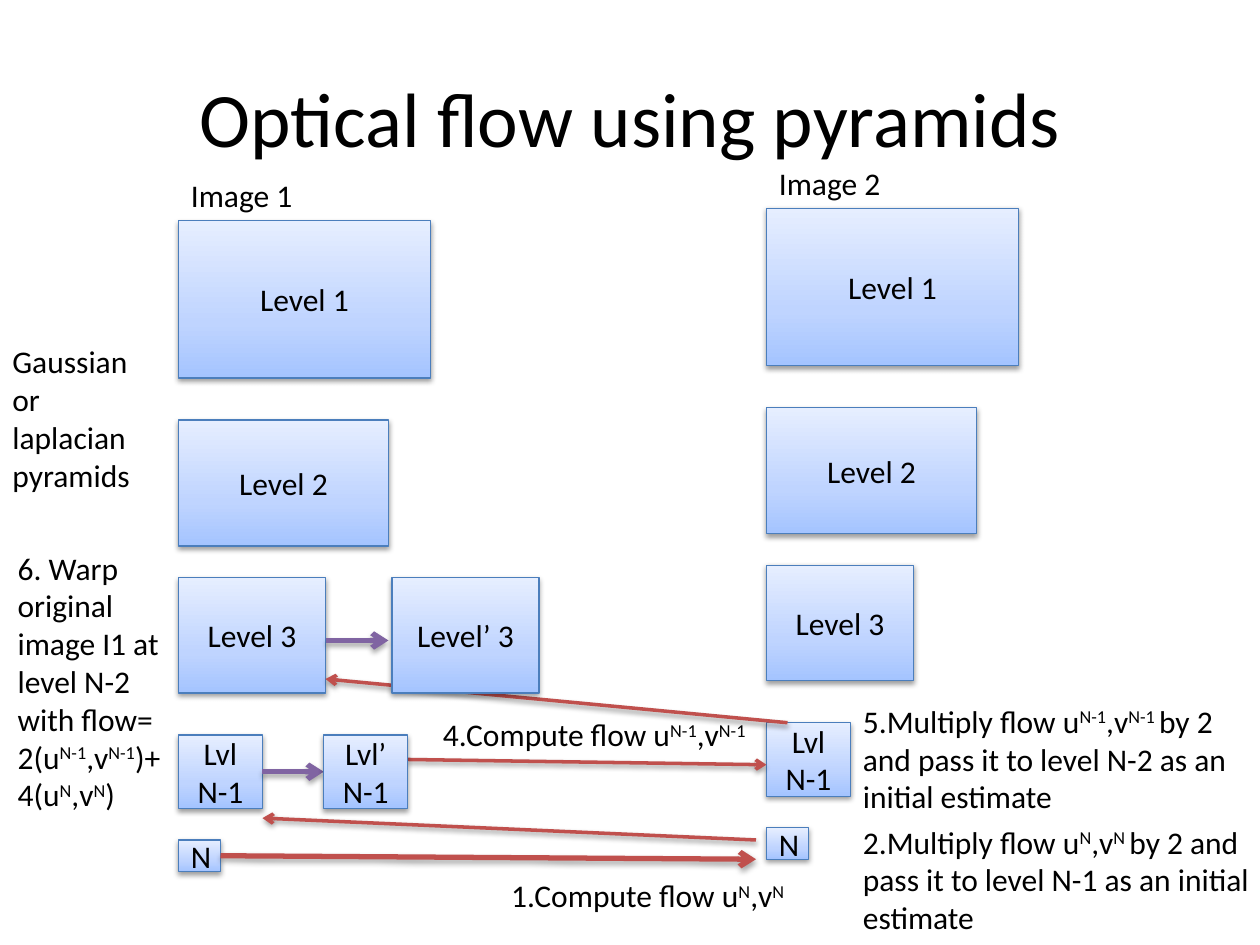
"""Build a slide on optical flow with image pyramids."""
import copy

import pptx
import pptx.dml.color
import pptx.enum.shapes
import pptx.enum.text
import pptx.oxml
import pptx.oxml.ns
import pptx.util

Pt = pptx.util.Pt
ALIGN = pptx.enum.text.PP_ALIGN
ANCHOR = pptx.enum.text.MSO_ANCHOR
RED, PURPLE = "C0504D", "8064A2"


def rgb(color):
    return pptx.dml.color.RGBColor.from_string(color)


class Deck:
    font, size, ink, edge = "Calibri", 18, "000000", "4B7EBC"
    stops = [(0, "A4C4FF"), (0.35, "BFD4FF"), (1, "E6EEFF")]

    def __init__(self, s):
        self.s = s

    def add_runs(self, p, text, size=None):
        for i, part in enumerate(text.split("^")):
            if not part:
                continue
            r = p.add_run()
            r.text = part
            r.font.name = self.font
            r.font.size = Pt(size or self.size)
            r.font.color.rgb = rgb(self.ink)
            if i % 2:
                r._r.get_or_add_rPr().set("baseline", "30000")

    def shadow(self, sp, alpha=38, dist=1.6):
        sp._element.spPr.append(pptx.oxml.parse_xml(
            f'<a:effectLst {pptx.oxml.ns.nsdecls("a")}>'
            f'<a:outerShdw blurRad="{Pt(3.1)}" dist="{Pt(dist)}" dir="5400000" rotWithShape="0">'
            f'<a:srgbClr val="000000"><a:alpha val="{alpha * 1000}"/></a:srgbClr>'
            '</a:outerShdw></a:effectLst>'))

    def title(self, text, x, y, w, h):
        sp = self.s.shapes.title
        sp.left, sp.top, sp.width, sp.height = Pt(x), Pt(y), Pt(w), Pt(h)
        tf = sp.text_frame
        tf.vertical_anchor = ANCHOR.MIDDLE
        p = tf.paragraphs[0]
        p.alignment = ALIGN.CENTER
        self.add_runs(p, text, 44)

    def box(self, text, x, y, w, h):
        kind = pptx.enum.shapes.MSO_SHAPE.RECTANGLE
        sp = self.s.shapes.add_shape(kind, Pt(x), Pt(y), Pt(w), Pt(h))
        sp.fill.gradient()
        sp.fill.gradient_angle = 90
        first = sp._element.spPr.find(".//" + pptx.oxml.ns.qn("a:gs"))
        first.addnext(copy.deepcopy(first))
        for stop, (position, color) in zip(sp.fill.gradient_stops, self.stops):
            stop.position = position
            stop.color.rgb = rgb(color)
        sp.line.color.rgb = rgb(self.edge)
        sp.line.width = Pt(0.75)
        self.shadow(sp)
        tf = sp.text_frame
        tf.word_wrap = True
        tf.vertical_anchor = ANCHOR.MIDDLE
        p = tf.paragraphs[0]
        p.alignment = ALIGN.CENTER
        self.add_runs(p, text)

    def text(self, paragraphs, x, y, w, h):
        tf = self.s.shapes.add_textbox(Pt(x), Pt(y), Pt(w), Pt(h)).text_frame
        tf.word_wrap = True
        tf.auto_size = pptx.enum.text.MSO_AUTO_SIZE.SHAPE_TO_FIT_TEXT
        for i, text in enumerate(paragraphs):
            self.add_runs(tf.add_paragraph() if i else tf.paragraphs[0], text)

    def arrow(self, x1, y1, x2, y2, color, width):
        kind = pptx.enum.shapes.MSO_CONNECTOR.STRAIGHT
        sp = self.s.shapes.add_connector(kind, Pt(x1), Pt(y1), Pt(x2), Pt(y2))
        sp.line.color.rgb = rgb(color)
        sp.line.width = Pt(width)
        sp.line._get_or_add_ln().append(pptx.oxml.parse_xml(
            f'<a:tailEnd {pptx.oxml.ns.nsdecls("a")} type="arrow"/>'))
        if width == 3:
            self.shadow(sp, 35, 1.8)
        else:
            self.shadow(sp)


def main():
    prs = pptx.Presentation()
    prs.slide_width, prs.slide_height = Pt(720), Pt(540)
    d = Deck(prs.slides.add_slide(prs.slide_layouts[5]))
    d.title("Optical flow using pyramids", 36, 21.6, 648, 90)

    levels = [("Level 1", 0, 144, 90), ("Level 2", 114, 120, 72),
              ("Level 3", 204, 84, 66), ("Lvl N-1", 294, 48, 42),
              ("N", 354, 24, 18)]
    for name, x, top in [("Image 1", 102, 126), ("Image 2", 438, 119)]:
        d.text([name], x, top - 29, 84, 29)
        for label, dy, w, h in levels:
            d.box(label, x, top + dy, w, h)

    d.arrow(126, 489, 432, 491, RED, 3)
    d.arrow(432, 480, 150, 467.5, RED, 2)
    d.arrow(233, 434, 438, 437, RED, 2)
    d.arrow(450, 413, 186, 388, RED, 2)
    d.arrow(150, 441, 185, 441, PURPLE, 3)
    d.arrow(186.5, 366, 222, 366, PURPLE, 3)
    d.box("Lvl’ N-1", 185, 420, 48, 42)
    d.box("Level’ 3", 224, 330, 84, 66)

    d.text(["Gaussian or laplacian", "pyramids"], 0, 192, 84, 94.5)
    d.text(["6. Warp original image I1 at level N-2 with flow= "
            "2(u^N-1^,v^N-1^)+ 4(u^N^,v^N^)"], 3, 310, 99.5, 160)
    d.text(["1.Compute flow u^N^,v^N^"], 285, 497, 237, 29)
    d.text(["4.Compute flow u^N-1^,v^N-1^"], 246, 405, 237, 29)
    d.text(["2.Multiply flow u^N^,v^N ^by 2 and pass it to level N-1 "
            "as an initial estimate"], 486, 466.5, 237, 72.5)
    d.text(["5.Multiply flow u^N-1^,v^N-1 ^by 2 and pass it to level N-2 "
            "as an initial estimate"], 486, 397.5, 237, 72.5)
    prs.save("out.pptx")


if __name__ == "__main__":
    main()
